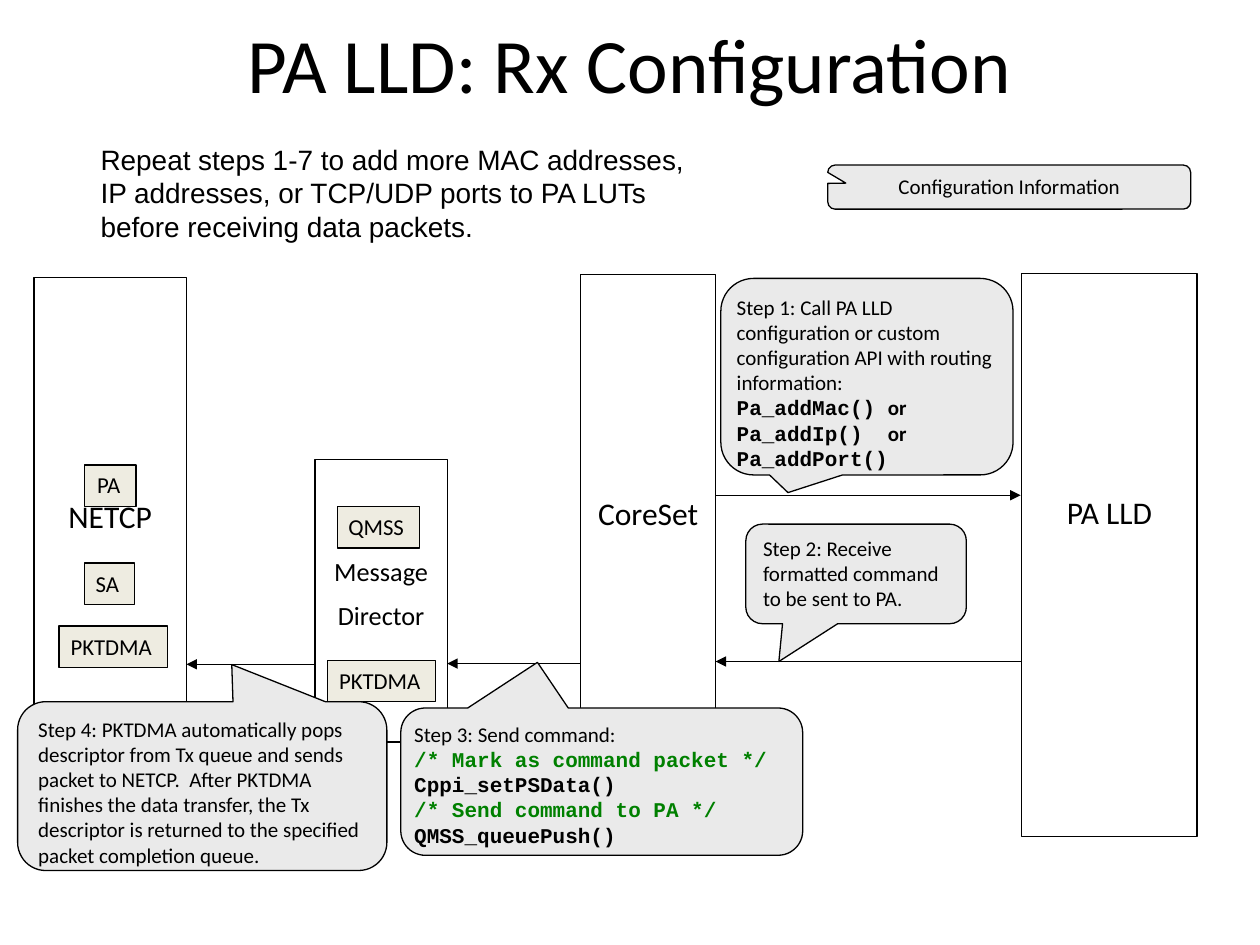
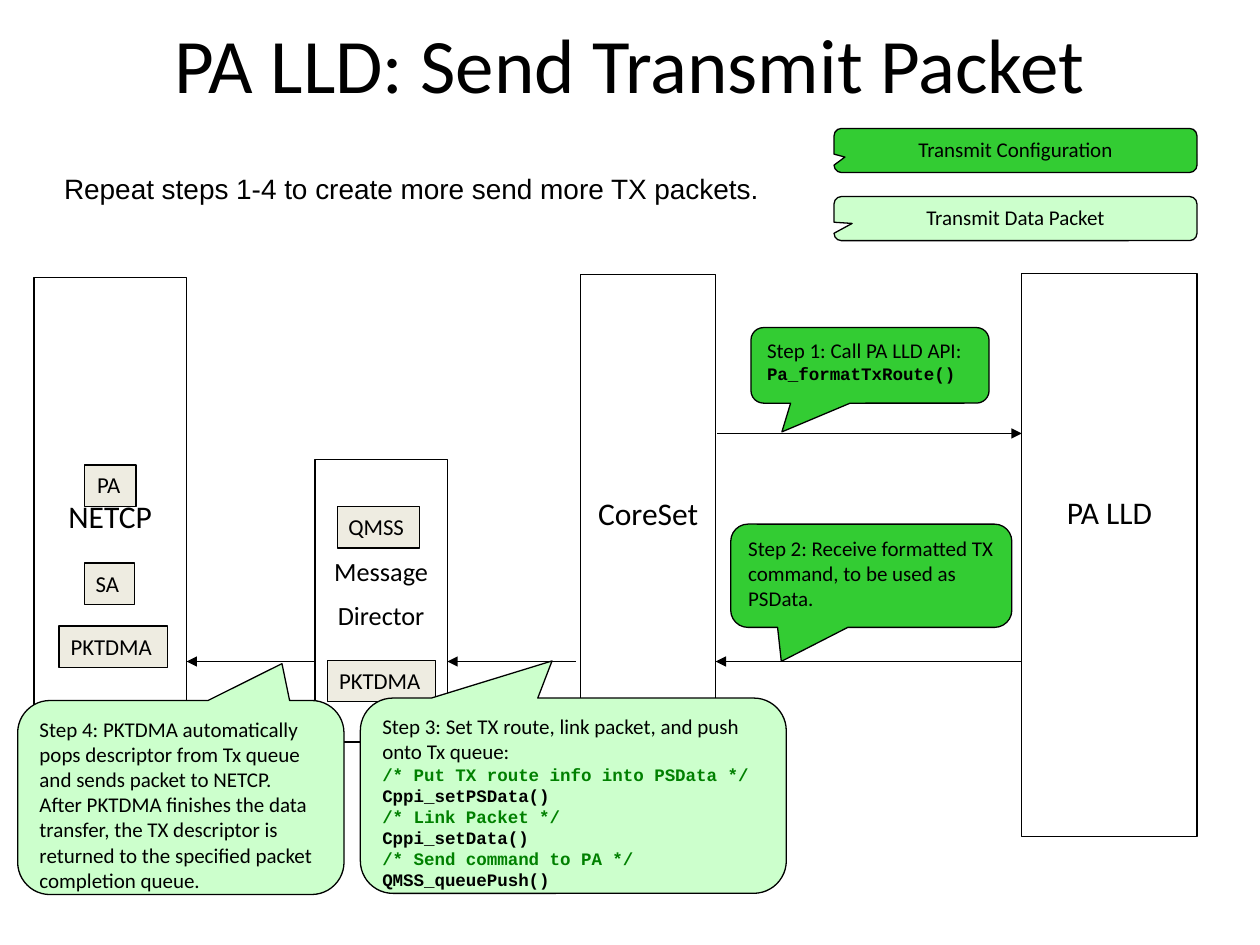
"""Build two slides showing the PA LLD receive and transmit message flows."""
from dataclasses import dataclass

from lxml.etree import SubElement
from pptx import Presentation
from pptx.dml.color import RGBColor
from pptx.enum.shapes import MSO_CONNECTOR, MSO_SHAPE
from pptx.enum.text import MSO_ANCHOR, PP_ALIGN
from pptx.oxml.ns import qn
from pptx.util import Pt


@dataclass(frozen=True)
class Theme:
    """Colours, fonts and type sizes."""
    ink: str = "000000"
    comment: str = "008000"
    chip: str = "EEECE1"
    grey: str = "EAEAEA"
    green: str = "33CC33"
    pale: str = "CCFFCC"
    body: str = "Calibri"
    note: str = "Arial"
    mono: str = "Courier New"
    title_size: float = 44
    column_size: float = 18
    note_size: float = 16
    navigator_size: float = 15
    chip_size: float = 13
    step_size: float = 12
    code_size: float = 10
    line: float = 0.75


T = Theme()


@dataclass(frozen=True)
class Box:
    """A place on the slide, in points."""
    x: float
    y: float
    w: float
    h: float

    def emu(self) -> tuple:
        """Give the place as lengths for python-pptx."""
        return Pt(self.x), Pt(self.y), Pt(self.w), Pt(self.h)


@dataclass(frozen=True)
class Line:
    """A paragraph, with an optional tail in another font."""
    text: str
    size: float = T.step_size
    font: str = T.body
    color: str = T.ink
    bold: bool = False
    tail: str = ""
    tail_font: str = T.body
    tail_size: float = T.step_size
    tab: float = 0


@dataclass(frozen=True)
class Column:
    """A tall labelled box with its label set down from the top."""
    box: Box
    labels: tuple
    size: float = T.column_size
    drop: float = 125.5


@dataclass(frozen=True)
class Chip:
    """A small labelled part inside a column."""
    box: Box
    label: str


@dataclass(frozen=True)
class Callout:
    """A speech bubble; tip is its pointer as shares of its size."""
    box: Box
    tip: tuple
    fill: str
    lines: tuple
    inset: tuple = (7.2, 3.6)
    align: PP_ALIGN = PP_ALIGN.LEFT


@dataclass(frozen=True)
class Arrow:
    """A level arrow from x1 to x2."""
    x1: float
    x2: float
    y: float


@dataclass(frozen=True)
class Page:
    """What differs between the slides."""
    title: str
    note: str
    note_box: Box
    arrows: tuple
    callouts: tuple


COLUMNS = (
    Column(Box(180, 262.8, 75.6, 161.3), ("Message", "Director"),
           T.navigator_size, 54.5),
    Column(Box(331.9, 157, 77, 321.8), ("CoreSet",)),
    Column(Box(19.4, 158.4, 87.1, 321.8), ("NETCP",)),
    Column(Box(583.9, 156.2, 100.1, 321.8), ("PA LLD",)),
)
CHIPS = (
    Chip(Box(187.2, 377.3, 61.9, 23.8), "PKTDMA"),
    Chip(Box(193, 289.4, 46.8, 23.8), "QMSS"),
    Chip(Box(33.8, 357.8, 61.9, 23.8), "PKTDMA"),
    Chip(Box(48.2, 265.7, 29.5, 23.8), "PA"),
    Chip(Box(48.2, 321.8, 28.8, 23.8), "SA"),
)


def code(text: str, size: float = T.step_size, **more) -> Line:
    """Make a line of program code; comments are green."""
    color = T.comment if text.startswith("/*") else T.ink
    return Line(text, size, T.mono, color, True, **more)


def legend(x: float, y: float, tip: tuple, fill: str, text: str) -> Callout:
    """Make a key entry at the top right."""
    return Callout(Box(x, y, 207.4, 25.2), tip, fill, (Line(text),),
                   align=PP_ALIGN.CENTER)


def step4(w: float, h: float, y: float, tip: tuple, fill: str, tx: str) -> Callout:
    """Make the step 4 callout, naming the transmit queue as tx."""
    text = ("Step 4: PKTDMA automatically pops descriptor from Tx queue and sends "
            f"packet to NETCP.  After PKTDMA finishes the data transfer, the {tx} "
            "descriptor is returned to the specified packet completion queue.")
    return Callout(Box(10.1, y, w, h), tip, fill, (Line(text),))


API_TAB = 86.4
PAGES = (
    Page(
        "PA LLD: Rx Configuration",
        "Repeat steps 1-7 to add more MAC addresses, IP addresses, or TCP/UDP "
        "ports to PA LUTs before receiving data packets.",
        Box(50.4, 77.8, 352.8, 64.8),
        (Arrow(409, 583.2, 283), Arrow(583.9, 409, 378),
         Arrow(331.2, 255.6, 379.2), Arrow(179.3, 106.6, 379.6)),
        (
            Callout(Box(411.9, 159.1, 167, 112.3), (-0.27, 0.59), T.grey, (
                Line("Step 1: Call PA LLD configuration or custom configuration "
                     "API with routing information:"),
                code("Pa_addMac()", tail="\tor", tab=API_TAB),
                code("Pa_addIp()", tail="\tor", tab=API_TAB),
                code("Pa_addPort()")), (3.6, 3.6)),
            Callout(Box(426.2, 299.5, 126, 56.9), (-0.35, 0.88), T.grey, (
                Line("Step 2: Receive formatted command to be sent to PA."),)),
            step4(211, 96.5, 401, (0.08, -0.72), T.grey, "Tx"),
            legend(473, 94.3, (-0.45, -0.09), T.grey, "Configuration Information"),
            Callout(Box(229, 404.6, 229.7, 84.2), (-0.16, -0.81), T.grey, (
                Line("Step 3: Send command:"),
                code("/* Mark as command packet */"),
                code("Cppi_setPSData()"),
                code("/* Send command to PA */"),
                code("QMSS_queuePush()")), (3.6, 3.6)),
        ),
    ),
    Page(
        "PA LLD: Send Transmit Packet",
        "Repeat steps 1-4 to create more send more TX packets.",
        Box(29.5, 94.3, 435.6, 26.6),
        (Arrow(409.7, 583.9, 247.7), Arrow(583.9, 409, 378),
         Arrow(329, 255.6, 378), Arrow(179.3, 106.6, 378)),
        (
            Callout(Box(429.1, 187.2, 136.1, 43.2), (-0.37, 0.88), T.green, (
                Line("Step 1: Call PA LLD API: ", tail="Pa_formatTxRoute()",
                     tail_font=T.mono, tail_size=T.code_size),)),
            Callout(Box(417.6, 299.5, 160.6, 59), (-0.32, 0.83), T.green, (
                Line("Step 2: Receive formatted TX command, to be used as "
                     "PSData."),)),
            legend(476.6, 73.4, (-0.47, 0.15), T.green, "Transmit Configuration"),
            step4(186.5, 110.9, 400.3, (0.31, -0.69), T.pale, "TX"),
            Callout(Box(205.9, 398.9, 243.4, 111.6), (-0.05, -0.69), T.pale, (
                Line("Step 3: Set TX route, link packet, and push onto Tx queue:"),
                *(code(t, T.code_size) for t in (
                    "/* Put TX route info into PSData */", "Cppi_setPSData()",
                    "/* Link Packet */", "Cppi_setData()",
                    "/* Send command to PA */", "QMSS_queuePush()")))),
            legend(476.6, 112.3, (-0.45, 0.11), T.pale, "Transmit Data Packet"),
        ),
    ),
)


def set_font(font, name: str, size: float, color: str = T.ink,
             bold: bool = False) -> None:
    """Set the face, size, colour and weight of a font."""
    font.name, font.size, font.bold = name, Pt(size), bold
    font.color.rgb = RGBColor.from_string(color)


def write(tf, lines: tuple, align: PP_ALIGN = PP_ALIGN.LEFT, gap: float = 0) -> None:
    """Write one paragraph for each line into a text frame."""
    for i, line in enumerate(lines):
        p = tf.add_paragraph() if i else tf.paragraphs[0]
        p.alignment = align
        p.space_before = Pt(gap if i else 0)
        if line.tab:
            tabs = SubElement(p._p.get_or_add_pPr(), qn("a:tabLst"))
            SubElement(tabs, qn("a:tab"), pos=str(Pt(line.tab)), algn="l")
        r = p.add_run()
        r.text = line.text
        font = r.font if line.tail else p.font
        set_font(font, line.font, line.size, line.color, line.bold)
        if line.tail:
            r = p.add_run()
            r.text = line.tail
            set_font(r.font, line.tail_font, line.tail_size, bold=True)


def add_box(s, kind: MSO_SHAPE, box: Box, fill: str = ""):
    """Add an outlined shape with top-set text, and return it."""
    sp = s.shapes.add_shape(kind, *box.emu())
    sp.shadow.inherit = False
    if fill:
        sp.fill.solid()
        sp.fill.fore_color.rgb = RGBColor.from_string(fill)
    else:
        sp.fill.background()
    sp.line.color.rgb = RGBColor.from_string(T.ink)
    sp.line.width = Pt(T.line)
    sp.text_frame.vertical_anchor = MSO_ANCHOR.TOP
    sp.text_frame.word_wrap = True
    return sp


def add_column(s, column: Column) -> None:
    """Draw a tall column."""
    tf = add_box(s, MSO_SHAPE.RECTANGLE, column.box).text_frame
    tf.margin_top = Pt(column.drop)
    write(tf, tuple(Line(t, column.size) for t in column.labels),
          PP_ALIGN.CENTER, gap=7)


def add_chip(s, chip: Chip) -> None:
    """Draw a small part."""
    tf = add_box(s, MSO_SHAPE.RECTANGLE, chip.box, T.chip).text_frame
    tf.word_wrap = False
    tf.margin_right = Pt(9)
    write(tf, (Line(chip.label, T.chip_size),), PP_ALIGN.RIGHT)


def add_callout(s, callout: Callout) -> None:
    """Draw a speech bubble."""
    sp = add_box(s, MSO_SHAPE.ROUNDED_RECTANGULAR_CALLOUT, callout.box, callout.fill)
    sp.adjustments[0], sp.adjustments[1] = callout.tip
    tf = sp.text_frame
    tf.margin_left = tf.margin_right = Pt(callout.inset[0])
    tf.margin_top = tf.margin_bottom = Pt(callout.inset[1])
    write(tf, callout.lines, callout.align)


def add_arrow(s, arrow: Arrow) -> None:
    """Draw a level arrow."""
    c = s.shapes.add_connector(MSO_CONNECTOR.STRAIGHT, Pt(arrow.x1), Pt(arrow.y),
                               Pt(arrow.x2), Pt(arrow.y))
    c.line.color.rgb = RGBColor.from_string(T.ink)
    c.line.width = Pt(T.line)
    SubElement(c.line._get_or_add_ln(), qn("a:tailEnd"), type="triangle")
    SubElement(c._element.spPr, qn("a:effectLst"))


def add_page(prs, page: Page) -> None:
    """Build one slide."""
    s = prs.slides.add_slide(prs.slide_layouts[5])
    title = s.shapes.title
    title.left, title.top, title.width, title.height = Box(36, 5.8, 648, 59.8).emu()
    title.text_frame.vertical_anchor = MSO_ANCHOR.MIDDLE
    write(title.text_frame, (Line(page.title, T.title_size),), PP_ALIGN.CENTER)
    tf = s.shapes.add_textbox(*page.note_box.emu()).text_frame
    tf.word_wrap = True
    write(tf, (Line(page.note, T.note_size, T.note),))
    for draw, items in ((add_column, COLUMNS), (add_chip, CHIPS),
                        (add_arrow, page.arrows), (add_callout, page.callouts)):
        for item in items:
            draw(s, item)


prs = Presentation()
prs.slide_width, prs.slide_height = Pt(720), Pt(540)
for page in PAGES:
    add_page(prs, page)
prs.save("out.pptx")
